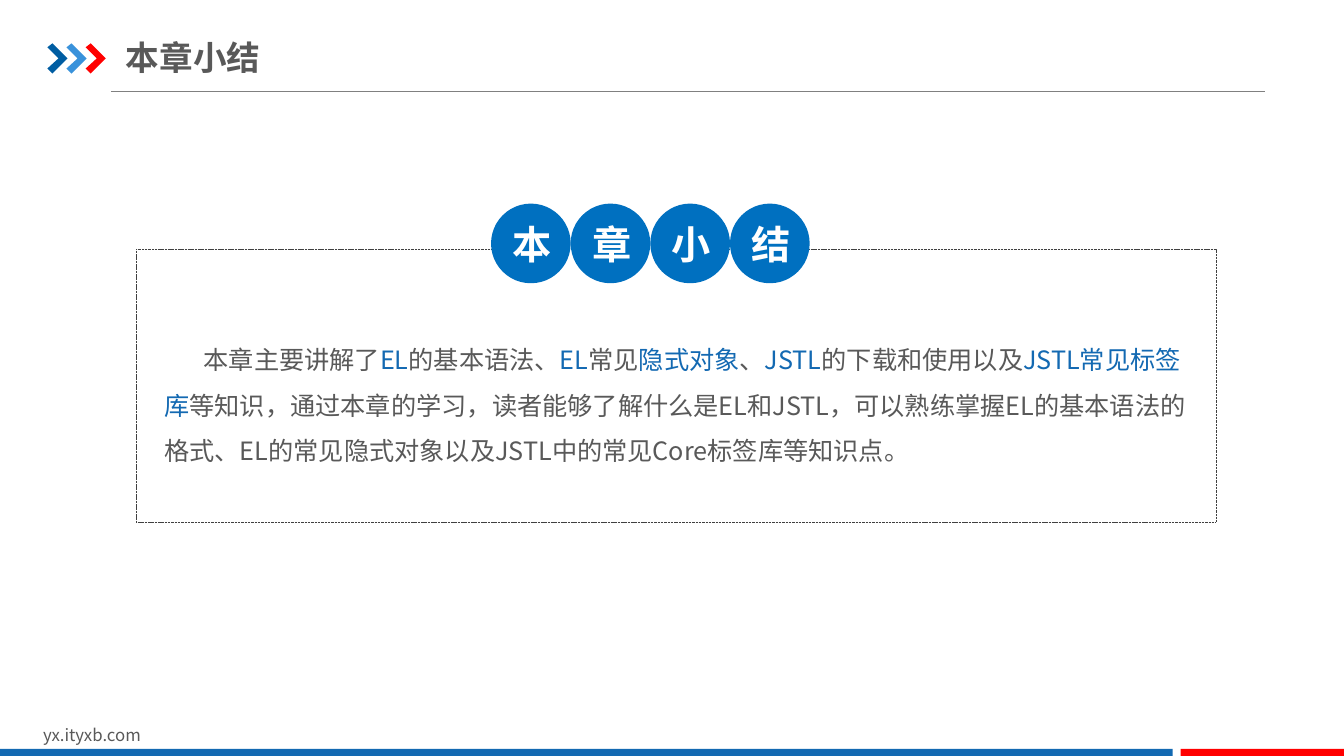
"""Build the chapter summary slide."""
from lxml import etree
from pptx import Presentation
from pptx.dml.color import RGBColor
from pptx.enum.dml import MSO_LINE
from pptx.enum.shapes import MSO_CONNECTOR, MSO_SHAPE
from pptx.enum.text import MSO_ANCHOR, PP_ALIGN
from pptx.oxml.ns import qn
from pptx.util import Pt

PX = 9144
FONT = "Noto Sans CJK SC"
RECT, OVAL = MSO_SHAPE.RECTANGLE, MSO_SHAPE.OVAL
STRAIGHT, DASH = MSO_CONNECTOR.STRAIGHT, MSO_LINE.SQUARE_DOT
TOP, MIDDLE = MSO_ANCHOR.TOP, MSO_ANCHOR.MIDDLE
LEFT, CENTER = PP_ALIGN.LEFT, PP_ALIGN.CENTER
COLORS = {
    "navy": "005DA2", "sky": "3992DB", "red": "FF0000", "blue": "1369B2",
    "disc": "0070C0", "text": "595959", "rule": "808080", "frame": "404040",
    "white": "FFFFFF",
}
CHEVRON = [(0, 4), (5, 0), (20, 15), (5, 30), (0, 25), (11, 15)]
SUMMARY = [
    ("本章主要讲解了", "text"),
    ("EL", "blue"),
    ("的基本语法、", "text"),
    ("EL", "blue"),
    ("常见", "text"),
    ("隐式对象", "blue"),
    ("、", "text"),
    ("JSTL", "blue"),
    ("的下载和使用以及", "text"),
    ("JSTL常见标签库", "blue"),
    ("等知识，通过本章的学习，读者能够了解什么是EL和JSTL，"
     "可以熟练掌握EL的基本语法的格式、EL的常见隐式对象以及"
     "JSTL中的常见Core标签库等知识点。", "text"),
]


def px(*values):
    """Turn pixel lengths into EMU."""
    return [v * PX for v in values]


def rgb(name):
    """Return the named colour."""
    return RGBColor.from_string(COLORS[name])


def paint(sp, fill):
    """Give a shape a plain fill without line or shadow."""
    sp.shadow.inherit = False
    sp.fill.solid()
    sp.fill.fore_color.rgb = rgb(fill)
    sp.line.fill.background()


def style(p, size, color=None, bold=False):
    """Set the font of a paragraph for Latin and Chinese text."""
    p.font.name = FONT
    p.font.size = Pt(size)
    p.font.bold = bold
    if color:
        p.font.color.rgb = rgb(color)
    latin = p._p.pPr.find(qn("a:defRPr")).find(qn("a:latin"))
    ea = etree.Element(qn("a:ea"), typeface=FONT)
    latin.addnext(ea)


def add_block(slide, box, fill):
    """Add a filled rectangle."""
    paint(slide.shapes.add_shape(RECT, *px(*box)), fill)


def add_frame(slide, box):
    """Add the dashed frame around the summary."""
    sp = slide.shapes.add_shape(RECT, *px(*box))
    sp.shadow.inherit = False
    sp.fill.background()
    sp.line.color.rgb = rgb("frame")
    sp.line.width = Pt(0.25)
    sp.line.dash_style = DASH


def add_chevron(slide, left, top, fill):
    """Add one chevron of the title mark."""
    points = [(left + x, top + y) for x, y in CHEVRON]
    builder = slide.shapes.build_freeform(*points[0], scale=PX)
    builder.add_line_segments(points[1:], close=True)
    paint(builder.convert_to_shape(), fill)


def add_rule(slide, x1, x2, y):
    """Add the thin line below the title."""
    line = slide.shapes.add_connector(STRAIGHT, *px(x1, y, x2, y))
    line.line.color.rgb = rgb("rule")
    line.line.width = Pt(0.5)
    etree.SubElement(line._element.spPr, qn("a:effectLst"))


def add_disc(slide, left, top, size, char):
    """Add a round badge holding one character."""
    sp = slide.shapes.add_shape(OVAL, *px(left, top, size, size))
    paint(sp, "disc")
    tf = sp.text_frame
    tf.vertical_anchor = MIDDLE
    tf.text = char
    p = tf.paragraphs[0]
    p.alignment = CENTER
    style(p, 28, "white", True)


def add_text(slide, box, side, ends, anchor=TOP):
    """Add a wrapping text box and return its paragraph."""
    tf = slide.shapes.add_textbox(*px(*box)).text_frame
    tf.word_wrap = True
    tf.vertical_anchor = anchor
    tf.margin_left = tf.margin_right = side * PX
    tf.margin_top = tf.margin_bottom = ends * PX
    p = tf.paragraphs[0]
    p.alignment = LEFT
    return p


def add_label(slide, box, text, size, side, ends, anchor=TOP, bold=False):
    """Add a text box with one line in the text colour."""
    p = add_text(slide, box, side, ends, anchor)
    p.add_run().text = text
    style(p, size, "text", bold)


def add_summary(slide, box):
    """Add the summary paragraph with its highlighted terms."""
    p = add_text(slide, box, 13, 7)
    p.line_spacing = 1.5
    p._p.get_or_add_pPr().set("indent", str(39 * PX))
    style(p, 18)
    for text, color in SUMMARY:
        r = p.add_run()
        r.text = text
        r.font.color.rgb = rgb(color)


def main():
    """Build and save the slide."""
    prs = Presentation()
    prs.slide_width, prs.slide_height = px(1333, 750)
    slide = prs.slides.add_slide(prs.slide_layouts[6])
    add_rule(slide, 110, 1255, 91)
    for i, fill in enumerate(("navy", "sky", "red")):
        add_chevron(slide, 47 + 19 * i, 43, fill)
    add_label(slide, (33, 714, 318, 30), "yx.ityxb.com", 12, 10, 5)
    add_block(slide, (0, 743, 1163, 9), "blue")
    add_block(slide, (1171, 743, 163, 9), "red")
    add_label(slide, (125, 29, 426, 55), "本章小结", 24, 0, 7, MIDDLE, True)
    add_frame(slide, (135, 247, 1071, 271))
    for i, char in enumerate("本章小结"):
        add_disc(slide, 487 + 79 * i, 202, 79, char)
    add_summary(slide, (150, 320, 1039, 150))
    prs.save("out.pptx")


if __name__ == "__main__":
    main()
